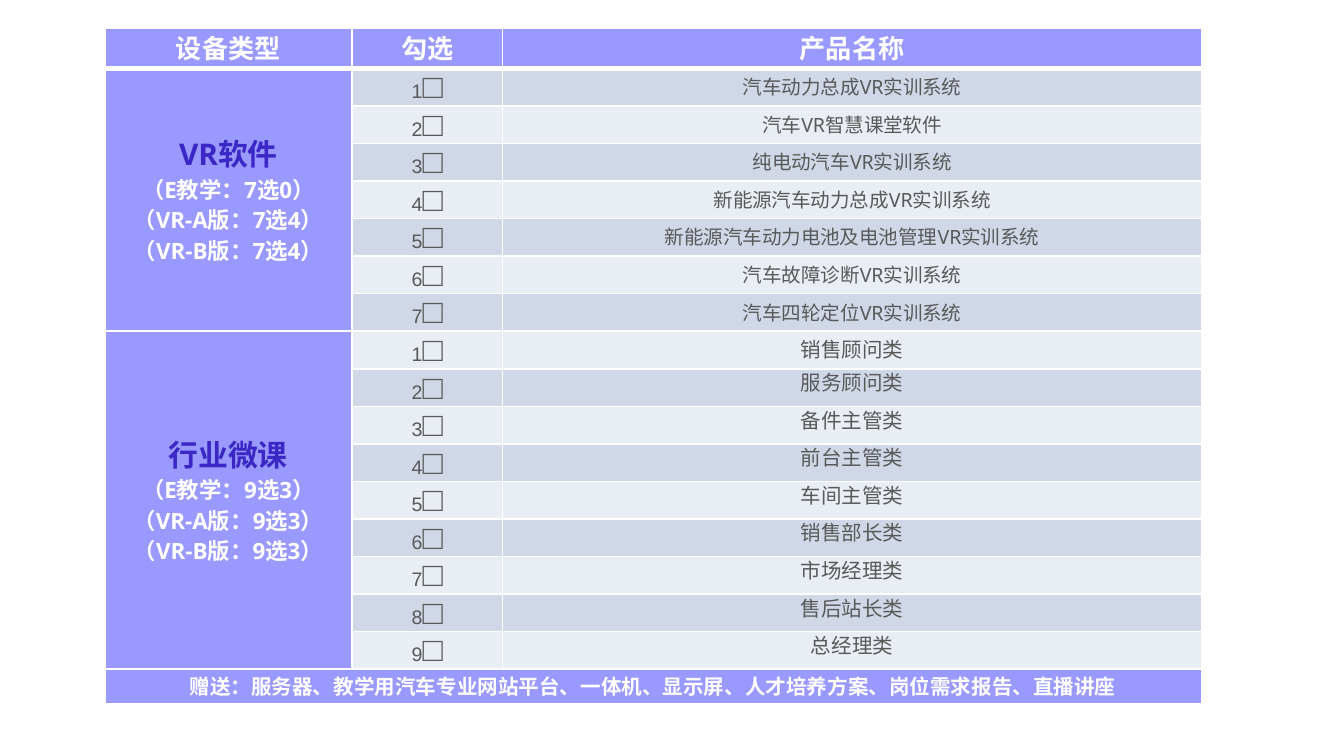
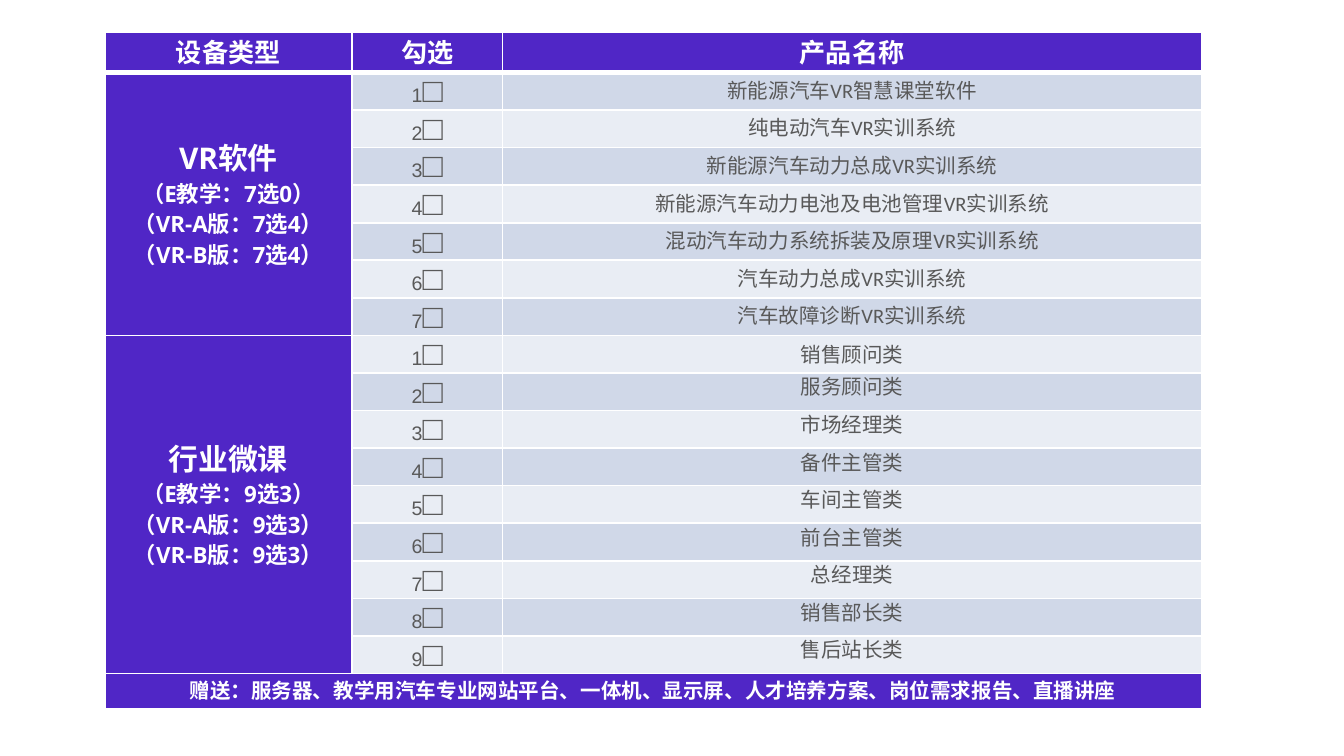
from lxml import etree
from pptx import Presentation
from pptx.dml.color import RGBColor
from pptx.enum.text import MSO_ANCHOR, PP_ALIGN
from pptx.oxml.ns import qn
from pptx.util import Cm, Pt

CENTER = PP_ALIGN.CENTER
TOP, MIDDLE = MSO_ANCHOR.TOP, MSO_ANCHOR.MIDDLE

WHITE = RGBColor(0xFF, 0xFF, 0xFF)
GRAY = RGBColor(0x59, 0x59, 0x59)
LILAC = RGBColor(0x99, 0x99, 0xFF)
VIOLET = RGBColor(0x50, 0x26, 0xC6)
INDIGO = RGBColor(0x3A, 0x27, 0xC5)
BANDS = (RGBColor(0xD0, 0xD8, 0xE8), RGBColor(0xE9, 0xED, 0xF4))

MAIN_FONT = "Noto Sans"
CHECK_FONT = "Arial"

HEADINGS = ("设备类型", "勾选", "产品名称")
EDITIONS = ("E教学", "VR-A版", "VR-B版")
GROUPS = (
    ("VR软件", ("7选0", "7选4", "7选4")),
    ("行业微课", ("9选3", "9选3", "9选3")),
)
GIFTS = "赠送：服务器、教学用汽车专业网站平台、一体机、显示屏、人才培养方案、岗位需求报告、直播讲座"

SLIDES = (
    {
        "top": 0.53, "accent": LILAC, "group_color": INDIGO,
        "software_font": (MAIN_FONT, 10.5),
        "products": (
            ("汽车动力总成VR实训系统", "汽车VR智慧课堂软件", "纯电动汽车VR实训系统",
             "新能源汽车动力总成VR实训系统", "新能源汽车动力电池及电池管理VR实训系统",
             "汽车故障诊断VR实训系统", "汽车四轮定位VR实训系统"),
            ("销售顾问类", "服务顾问类", "备件主管类", "前台主管类", "车间主管类",
             "销售部长类", "市场经理类", "售后站长类", "总经理类"),
        ),
    },
    {
        "top": 0.61, "accent": VIOLET, "group_color": WHITE,
        "software_font": ("Calibri", 11),
        "products": (
            ("新能源汽车VR智慧课堂软件", "纯电动汽车VR实训系统", "新能源汽车动力总成VR实训系统",
             "新能源汽车动力电池及电池管理VR实训系统", "混动汽车动力系统拆装及原理VR实训系统",
             "汽车动力总成VR实训系统", "汽车故障诊断VR实训系统"),
            ("销售顾问类", "服务顾问类", "市场经理类", "备件主管类", "车间主管类",
             "前台主管类", "总经理类", "销售部长类", "售后站长类"),
        ),
    },
)

LEFT = 1.98
COLUMN_WIDTHS = (4.67, 2.85, 13.21)
HEADER_HEIGHT, ROW_HEIGHT, FOOTER_HEIGHT = 0.76, 0.71, 0.66
NARROW, WIDE = Cm(0.05), Cm(0.18)


def add_run(paragraph, text, size, color=GRAY, bold=False, font=MAIN_FONT):
    run = paragraph.add_run()
    run.text = text
    run.font.size = Pt(size)
    run.font.bold = bold
    run.font.color.rgb = color
    run.font.name = font
    properties = run.font._element
    etree.SubElement(properties, qn("a:ea"), typeface=font)


def add_borders(cell, top=1, bottom=1):
    properties = cell._tc.get_or_add_tcPr()
    for side, points in (("L", 1), ("R", 1), ("T", top), ("B", bottom)):
        line = etree.SubElement(properties, qn(f"a:ln{side}"), w=str(Pt(points)))
        fill = etree.SubElement(line, qn("a:solidFill"))
        etree.SubElement(fill, qn("a:srgbClr"), val=str(WHITE))


def style_cell(cell, color, margin=NARROW, anchor=MIDDLE):
    """Fill and align the cell, and return its first paragraph."""
    cell.fill.solid()
    cell.fill.fore_color.rgb = color
    cell.margin_left = cell.margin_right = margin
    cell.margin_top = cell.margin_bottom = 0
    cell.vertical_anchor = anchor
    paragraph = cell.text_frame.paragraphs[0]
    paragraph.alignment = CENTER
    return paragraph


def fill_group(cell, group, accent, color):
    title, quotas = group
    add_run(style_cell(cell, accent), title, 16, color, True)
    for edition, quota in zip(EDITIONS, quotas):
        paragraph = cell.text_frame.add_paragraph()
        paragraph.alignment = CENTER
        add_run(paragraph, f"（{edition}：{quota}）", 12, WHITE, True)


def fill_product(table, row, number, name, font, size, anchor):
    band = BANDS[(row - 1) % 2]
    check = style_cell(table.cell(row, 1), band)
    check.line_spacing = Pt(20)
    add_run(check, str(number), 10.5, font=CHECK_FONT)
    add_run(check, "□", 18, font=CHECK_FONT)
    product = style_cell(table.cell(row, 2), band, WIDE, anchor)
    add_run(product, name, size, font=font)


def add_product_table(slide, content):
    products, accent = content["products"], content["accent"]
    body_count = sum(len(names) for names in products)
    heights = [HEADER_HEIGHT] + [ROW_HEIGHT] * body_count + [FOOTER_HEIGHT]
    frame = slide.shapes.add_table(
        len(heights), len(COLUMN_WIDTHS), Cm(LEFT), Cm(content["top"]),
        Cm(sum(COLUMN_WIDTHS)), Cm(sum(heights)))
    table = frame.table
    table.first_row = table.horz_banding = False
    for column, width in zip(table.columns, COLUMN_WIDTHS):
        column.width = Cm(width)
    for index, height in enumerate(heights):
        table.rows[index].height = Cm(height)
        for cell in table.rows[index].cells:
            add_borders(cell, top=3 if index == 1 else 1, bottom=3 if index == 0 else 1)

    for column, heading in enumerate(HEADINGS):
        add_run(style_cell(table.cell(0, column), accent), heading, 14, WHITE, True)

    row = 1
    fonts = (content["software_font"], (MAIN_FONT, 11))
    for index, (group, names, font) in enumerate(zip(GROUPS, products, fonts)):
        group_cell = table.cell(row, 0)
        group_cell.merge(table.cell(row + len(names) - 1, 0))
        fill_group(group_cell, group, accent, content["group_color"])
        for number, name in enumerate(names, 1):
            anchor = MIDDLE if index == 0 or number == 1 else TOP
            fill_product(table, row, number, name, *font, anchor)
            row += 1

    footer = table.cell(row, 0)
    footer.merge(table.cell(row, len(COLUMN_WIDTHS) - 1))
    add_run(style_cell(footer, accent), GIFTS, 11, WHITE, True)


def main():
    presentation = Presentation()
    presentation.slide_width, presentation.slide_height = Cm(25.4), Cm(14.29)
    for content in SLIDES:
        slide = presentation.slides.add_slide(presentation.slide_layouts[6])
        add_product_table(slide, content)
    presentation.save("out.pptx")


if __name__ == "__main__":
    main()
